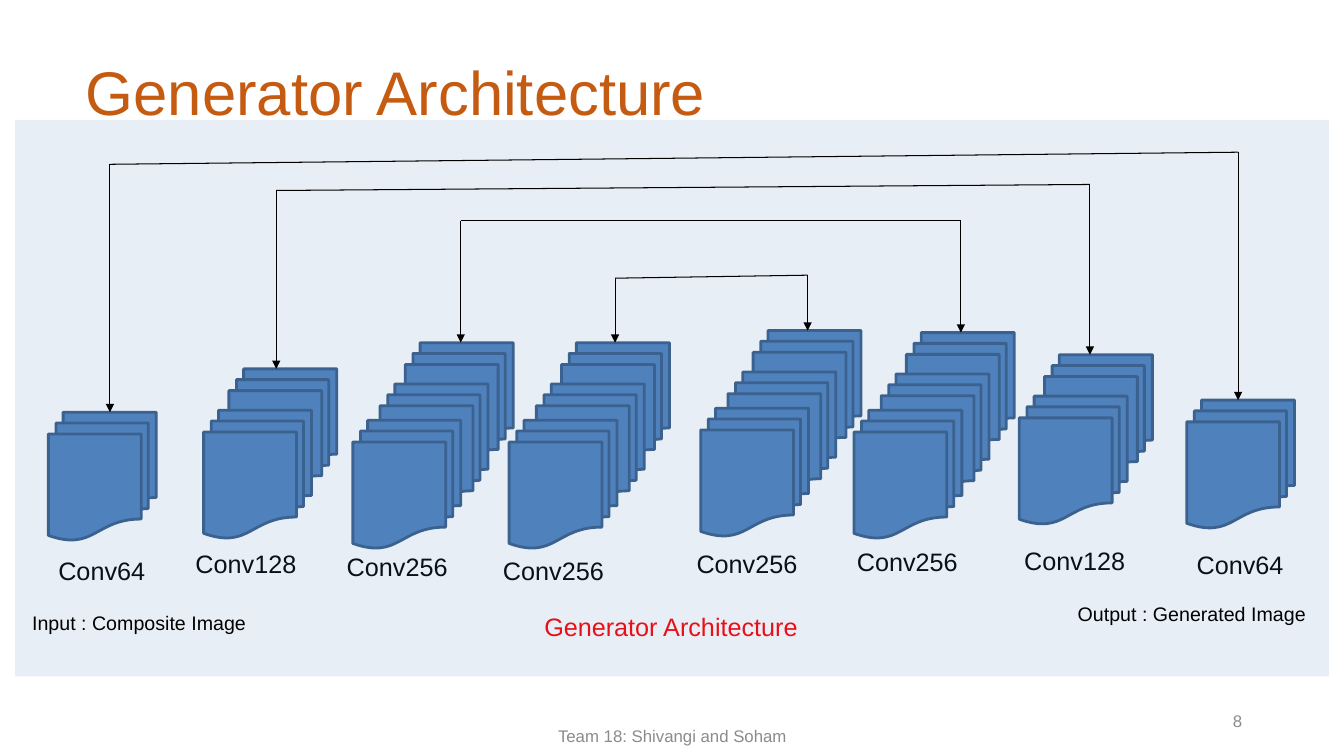
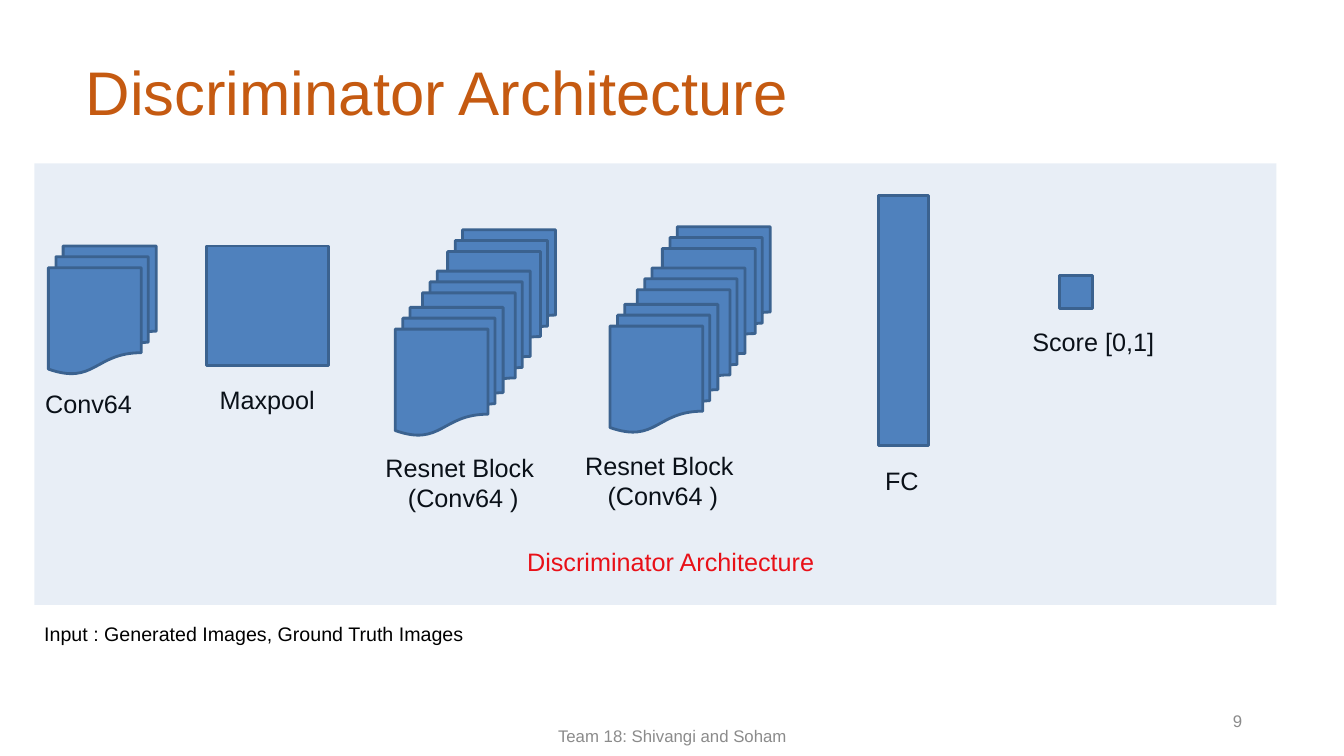
from typing import NamedTuple

from lxml.etree import SubElement
from pptx import Presentation
from pptx.dml.color import RGBColor
from pptx.enum.shapes import MSO_CONNECTOR as CONN, MSO_SHAPE as SHAPE
from pptx.enum.text import MSO_ANCHOR as ANCHOR, MSO_AUTO_SIZE as FIT, PP_ALIGN as ALIGN
from pptx.oxml.ns import qn
from pptx.util import Inches, Pt

FONT = "Arial"
BLACK = RGBColor(0x00, 0x00, 0x00)
RED = RGBColor(0xFF, 0x00, 0x00)
ORANGE = RGBColor(0xC5, 0x5A, 0x11)
GREY = RGBColor(0x8B, 0x8B, 0x8B)
BLUE = RGBColor(0x4F, 0x81, 0xBD)
NAVY = RGBColor(0x39, 0x5E, 0x89)

WIDTH, HEIGHT = Inches(13.33), Inches(7.5)
COLS, ROWS = 133.3, 75
COL, ROW = WIDTH / COLS, HEIGHT / ROWS
SHEET_W, SHEET_H = 10.7, 12.7
STACK_STEPS = {
    1: [(0, 0)],
    2: [(2.5, -4.1), (0, 0)],
    3: [(5.2, -7.7), (2.7, -3.6), (0, 0)],
}


class Box(NamedTuple):
    x: float
    y: float
    w: float
    h: float

    def inner(self, x, y, w, h):
        return Box(self.x + x, self.y + y, w, h)

    def emu(self):
        return round(self.x * COL), round(self.y * ROW), round(self.w * COL), round(self.h * ROW)


PAGE = Box(0, 0, COLS, ROWS)


def write(sp, text, size=18, color=BLACK, align=ALIGN.LEFT, anchor=ANCHOR.TOP, wrap=True):
    tf = sp.text_frame
    tf.word_wrap = wrap
    tf.auto_size = FIT.NONE if wrap else FIT.SHAPE_TO_FIT_TEXT
    tf.vertical_anchor = anchor
    for i, line in enumerate(text.split("\n")):
        p = tf.add_paragraph() if i else tf.paragraphs[0]
        p.alignment = align
        r = p.add_run()
        r.text = line
        r.font.name = FONT
        r.font.size = Pt(size)
        r.font.color.rgb = color


def add_text(s, box, text, **fmt):
    write(s.shapes.add_textbox(*box.emu()), text, **fmt)


def add_block(s, box, kind=SHAPE.RECTANGLE):
    sp = s.shapes.add_shape(kind, *box.emu())
    sp.shadow.inherit = False
    sp.fill.solid()
    sp.fill.fore_color.rgb = BLUE
    sp.line.color.rgb = NAVY
    sp.line.width = Pt(2)
    return sp


def add_panel(s, box):
    sp = add_block(s, box)
    sp.line.fill.background()
    color = sp._element.spPr.find(qn("a:solidFill")).find(qn("a:srgbClr"))
    SubElement(color, qn("a:alpha")).set("val", "13000")


def add_stack(s, panel, x, y, depth):
    sheets = [panel.inner(x + dx, y + dy, SHEET_W, SHEET_H) for dx, dy in STACK_STEPS[depth]]
    for sheet in sheets:
        add_block(s, sheet, SHAPE.FLOWCHART_MULTIDOCUMENT)
    return y + STACK_STEPS[depth][0][1]


def add_line(s, panel, start, end, arrow=False):
    ends = [round(v) for x, y in (start, end)
            for v in ((panel.x + x) * COL, (panel.y + y) * ROW)]
    line = s.shapes.add_connector(CONN.STRAIGHT, *ends)
    line.line.color.rgb = BLACK
    line.line.width = Pt(0.75)
    props = line._element.spPr
    if arrow:
        SubElement(props.find(qn("a:ln")), qn("a:tailEnd")).set("type", "triangle")
    SubElement(props, qn("a:effectLst"))


def add_skip(s, panel, start, end, tips):
    add_line(s, panel, start, end)
    for corner, tip in zip((start, end), tips):
        add_line(s, panel, corner, (corner[0], tip), arrow=True)


def add_frame(prs, title, number):
    s = prs.slides.add_slide(prs.slide_layouts[5])
    sp = s.shapes.title
    sp.left, sp.top, sp.width, sp.height = PAGE.inner(7.5, 1.8, 115, 14.5).emu()
    write(sp, title, size=44, color=ORANGE, anchor=ANCHOR.MIDDLE)
    small = dict(size=12, color=GREY, anchor=ANCHOR.MIDDLE)
    add_text(s, PAGE.inner(94.2, 69.5, 30, 4), str(number), align=ALIGN.RIGHT, **small)
    add_text(s, PAGE.inner(44.2, 71, 45, 4), "Team 18: Shivangi and Soham",
             align=ALIGN.CENTER, **small)
    return s


def generator(prs, panel):
    s = add_frame(prs, "Generator Architecture", 8)
    layers = [
        ("Conv64", 1, (3.3, 29), (3.3, 42.7)),
        ("Conv128", 2, (18.7, 28.8), (16.9, 42)),
        ("Conv256", 3, (33.5, 29.8), (31.9, 42.3)),
        ("Conv256", 3, (49, 29.8), (47.4, 42.7)),
        ("Conv256", 3, (68, 28.6), (66.6, 42)),
        ("Conv256", 3, (83.2, 28.8), (82.5, 41.8)),
        ("Conv128", 2, (99.6, 27.4), (99.1, 41.7)),
        ("Conv64", 1, (116.2, 27.8), (116.2, 42.1)),
    ]
    tops = []
    for name, depth, front, label in layers:
        tops.append(add_stack(s, panel, *front, depth))
        add_text(s, panel.inner(*label, 12.1, 4), name)
    add_text(s, panel.inner(51.5, 48.3, 27.4, 4), "Generator Architecture", color=RED)
    add_panel(s, panel)
    skips = [
        ((9.4, 4.4), (121.3, 3.2)),
        ((25.9, 7), (106.6, 6.4)),
        ((44.2, 10), (93.8, 10)),
        ((59.5, 15.7), (78.6, 15.4)),
    ]
    for (start, end), *tips in zip(skips, tops, reversed(tops)):
        add_skip(s, panel, start, end, tips)
    add_text(s, panel.inner(0.7, 48.2, 23.3, 3.4), "Input : Composite Image", size=14, wrap=False)
    add_text(s, panel.inner(104.4, 47.3, 25.3, 3.4), "Output : Generated Image",
             size=14, wrap=False)


def discriminator(prs, panel):
    s = add_frame(prs, "Discriminator Architecture", 9)
    for x, y, depth in [(1.4, 8.2, 1), (35.8, 14.3, 3), (57.1, 14, 3)]:
        add_stack(s, panel, x, y, depth)
    for block in [(17.1, 8.2, 12.1, 11.9), (83.7, 3.2, 5, 24.8), (101.7, 11.1, 3.3, 3.3)]:
        add_block(s, panel.inner(*block))
    labels = [
        ("Conv64", (0.1, 21.8, 10.7, 4)),
        ("Maxpool", (17.4, 21.4, 12.1, 4)),
        ("FC", (83.4, 29.5, 5.4, 4)),
        ("Score [0,1]", (98, 15.7, 14.2, 4)),
    ]
    for name, place in labels:
        add_text(s, panel.inner(*place), name)
    for x, y in [(33.4, 28.2), (53.2, 28)]:
        add_text(s, panel.inner(x, y, 18.3, 9.3), "Resnet Block \n(Conv64 )", align=ALIGN.CENTER)
    add_text(s, panel.inner(47.9, 37.5, 34.6, 4), "Discriminator Architecture", color=RED)
    add_panel(s, panel)
    add_text(s, panel.inner(0, 45, 43.9, 3.4), "Input : Generated Images, Ground Truth Images",
             size=14, wrap=False)


def main():
    prs = Presentation()
    prs.slide_width, prs.slide_height = WIDTH, HEIGHT
    generator(prs, Box(1.5, 11.9, 130.3, 55.2))
    discriminator(prs, Box(3.4, 16.2, 123.2, 43.8))
    prs.save("out.pptx")


if __name__ == "__main__":
    main()
